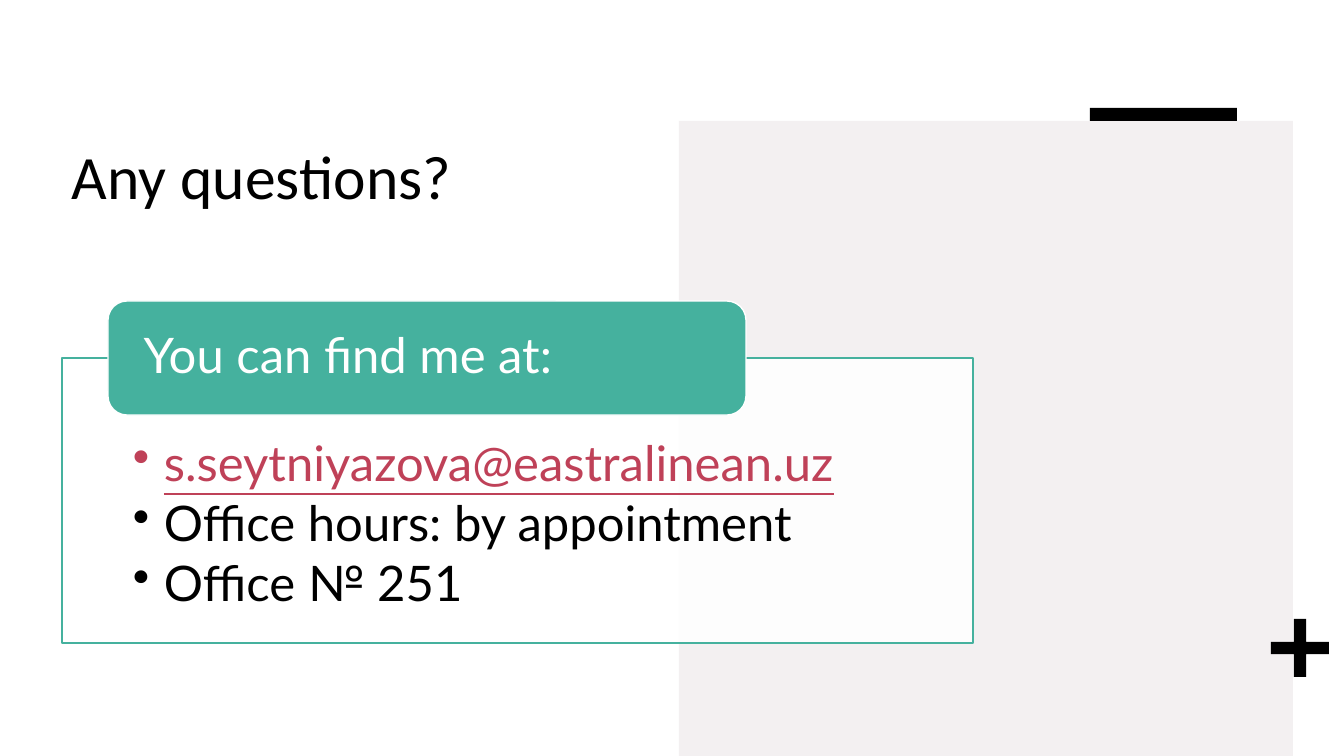
import pptx
import pptx.dml.color
import pptx.enum.shapes
import pptx.enum.text
import pptx.oxml
import pptx.oxml.ns
import pptx.util

BLACK = pptx.dml.color.RGBColor(0x00, 0x00, 0x00)
WHITE = pptx.dml.color.RGBColor(0xFF, 0xFF, 0xFF)
PANEL_GRAY = pptx.dml.color.RGBColor(0xF3, 0xF0, 0xF1)
TEAL = pptx.dml.color.RGBColor(0x45, 0xB1, 0x9E)
ADDRESS_RED = pptx.dml.color.RGBColor(0xBF, 0x41, 0x58)
SHAPES = pptx.enum.shapes.MSO_SHAPE
TOP = pptx.enum.text.MSO_ANCHOR.TOP
MIDDLE = pptx.enum.text.MSO_ANCHOR.MIDDLE


def px(length):
    return pptx.util.Emu(round(length * 914400 / 100.8))


class ContactSlide:
    """Hold the style and the slide, and add each kind of element."""

    title_font, title_size = "Calibri", 44
    body_font, body_size = "Lato", 35
    bullet_indent = 31

    def __init__(self, presentation):
        self.slide = presentation.slides.add_slide(presentation.slide_layouts[5])

    def shape(self, kind, box, fill, line=None, adjustment=None, opacity=None):
        shape = self.slide.shapes.add_shape(kind, *map(px, box))
        shape.shadow.inherit = False
        shape.fill.solid()
        shape.fill.fore_color.rgb = fill
        if line is None:
            shape.line.fill.background()
        else:
            shape.line.color.rgb = line
            shape.line.width = pptx.util.Pt(1)
        if adjustment is not None:
            shape.adjustments[0] = adjustment
        if opacity is not None:
            color = shape.fill._xPr.find(".//" + pptx.oxml.ns.qn("a:srgbClr"))
            alpha = pptx.oxml.parse_xml(
                f'<a:alpha {pptx.oxml.ns.nsdecls("a")} val="{opacity * 1000}"/>')
            color.append(alpha)
        return shape

    def frame(self, shape, insets, anchor):
        frame = shape.text_frame
        frame.word_wrap = True
        frame.vertical_anchor = anchor
        frame.margin_left, frame.margin_top, frame.margin_right, frame.margin_bottom = map(px, insets)
        return frame

    def run(self, paragraph, text, font, size, color, underline=None):
        run = paragraph.add_run()
        run.text = text
        run.font.name = font
        run.font.size = pptx.util.Pt(size)
        run.font.color.rgb = color
        run.font.underline = underline

    def title(self, text, box):
        title = self.slide.shapes.title
        title.left, title.top, title.width, title.height = map(px, box)
        frame = self.frame(title, (10, 5, 10, 5), TOP)
        paragraph = frame.paragraphs[0]
        paragraph.alignment = pptx.enum.text.PP_ALIGN.LEFT
        self.run(paragraph, text, self.title_font, self.title_size, BLACK)

    def lines(self, shape, lines, insets, anchor, bulleted=False):
        frame = self.frame(shape, insets, anchor)
        for index, (text, color, underline) in enumerate(lines):
            paragraph = frame.add_paragraph() if index else frame.paragraphs[0]
            paragraph.alignment = pptx.enum.text.PP_ALIGN.LEFT
            paragraph.line_spacing = 0.9
            if bulleted:
                paragraph.space_after = pptx.util.Pt(self.body_size * 0.15)
                self.bullet(paragraph)
            self.run(paragraph, text, self.body_font, self.body_size, color, underline)

    def bullet(self, paragraph):
        properties = paragraph._p.get_or_add_pPr()
        properties.set("marL", str(px(self.bullet_indent)))
        properties.set("indent", str(-px(self.bullet_indent)))
        properties.append(pptx.oxml.parse_xml(
            f'<a:buChar {pptx.oxml.ns.nsdecls("a")} char="•"/>'))


def main():
    presentation = pptx.Presentation()
    presentation.slide_width = px(1344)
    presentation.slide_height = px(756)
    contact = ContactSlide(presentation)

    contact.shape(SHAPES.RECTANGLE, (679, 121, 614, 635), PANEL_GRAY)
    contact.shape(SHAPES.CROSS, (1271, 619, 58, 58), BLACK, adjustment=0.395)
    contact.shape(SHAPES.RECTANGLE, (1090, 108, 147, 13), BLACK)
    contact.title("Any questions?", (62, 133, 911, 159))

    details = contact.shape(SHAPES.RECTANGLE, (62, 358, 911, 285), WHITE, TEAL, opacity=90)
    contact.lines(details, [
        ("s.seytniyazova@eastralinean.uz", ADDRESS_RED, True),
        ("Office hours: by appointment", BLACK, None),
        ("Office № 251", BLACK, None),
    ], (71, 81, 71, 27), TOP, bulleted=True)

    heading = contact.shape(SHAPES.ROUNDED_RECTANGLE, (108, 301, 638, 114), TEAL, WHITE)
    contact.lines(heading, [("You can find me at:", WHITE, None)], (30, 0, 30, 0), MIDDLE)

    presentation.save("out.pptx")


if __name__ == "__main__":
    main()
